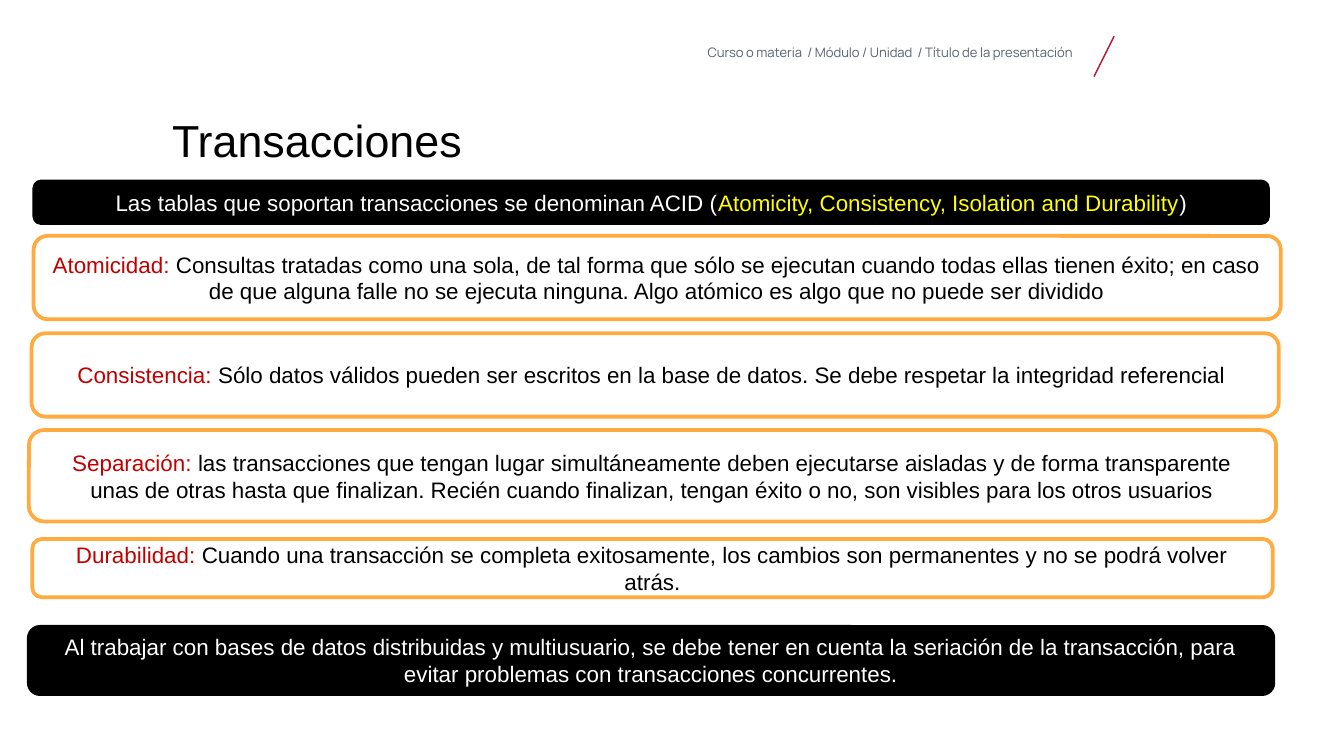
from lxml.etree import SubElement
from pptx import Presentation
from pptx.dml.color import RGBColor
from pptx.enum.shapes import MSO_CONNECTOR, MSO_SHAPE
from pptx.enum.text import MSO_ANCHOR, PP_ALIGN
from pptx.oxml.ns import qn
from pptx.util import Inches, Pt

COLUMNS, ROWS = 100, 56.25
CELL = Inches(0.1)
COLORS = {
    "black": "000000",
    "white": "FFFFFF",
    "yellow": "FFFF00",
    "term": "C00000",
    "border": "FFAB40",
    "slash": "BC182C",
    "header": "556271",
}


def color(name):
    return RGBColor.from_string(COLORS[name])


def grid(*cells):
    return [round(cell * CELL) for cell in cells]


def write(frame, runs, size=12, font="Arial", align=PP_ALIGN.CENTER,
          anchor=MSO_ANCHOR.MIDDLE, spacing=None, margin=None):
    frame.word_wrap = True
    frame.vertical_anchor = anchor
    if margin is not None:
        frame.margin_left = frame.margin_right = margin
        frame.margin_top = frame.margin_bottom = margin
    paragraph = frame.paragraphs[0]
    paragraph.alignment = align
    if spacing:
        paragraph.line_spacing = spacing
    for text, tone in runs:
        run = paragraph.add_run()
        run.text = text
        run.font.size = Pt(size)
        run.font.name = font
        run.font.color.rgb = color(tone)


def add_label(slide, place, text, tone, **style):
    label = slide.shapes.add_textbox(*grid(*place))
    write(label.text_frame, [(text, tone)], anchor=MSO_ANCHOR.TOP,
          spacing=0.9, margin=0, **style)


def add_panel(slide, place, runs, fill, border):
    panel = slide.shapes.add_shape(MSO_SHAPE.ROUNDED_RECTANGLE, *grid(*place))
    panel.shadow.inherit = False
    panel.fill.solid()
    panel.fill.fore_color.rgb = color(fill)
    panel.line.color.rgb = color(border)
    panel.line.width = Pt(2)
    write(panel.text_frame, runs)


def add_banner(slide, place, runs):
    add_panel(slide, place, runs, "black", "black")


def add_property(slide, place, term, meaning):
    runs = [(f"{term}: ", "term"), (meaning, "black")]
    add_panel(slide, place, runs, "white", "border")


def add_slash(slide, ends):
    slash = slide.shapes.add_connector(MSO_CONNECTOR.STRAIGHT, *grid(*ends))
    slash.line.color.rgb = color("slash")
    slash.line.width = Pt(0.75)
    SubElement(slash._element.spPr, qn("a:effectLst"))


def main():
    deck = Presentation()
    deck.slide_width, deck.slide_height = grid(COLUMNS, ROWS)
    slide = deck.slides.add_slide(deck.slide_layouts[6])

    add_label(slide, (49.5, 3.45, 30.5, 1.4),
              "Curso o materia  / Módulo / Unidad  / Título de la presentación ",
              "header", size=7, font="Manrope", align=PP_ALIGN.RIGHT)
    add_slash(slide, (82.9, 2.7, 81.4, 5.7))
    add_label(slide, (12.8, 8.85, 53.1, 8.3), "Transacciones", "black",
              size=24, align=PP_ALIGN.LEFT)

    add_banner(slide, (2.55, 13.5, 91.8, 3.1), [
        ("Las tablas que soportan transacciones se denominan ACID (", "white"),
        ("Atomicity, Consistency, Isolation and Durability", "yellow"),
        (")", "white"),
    ])

    properties = [
        ((2.5, 17.55, 92.8, 6.2), "Atomicidad",
         "Consultas tratadas como una sola, de tal forma que sólo se ejecutan "
         "cuando todas ellas tienen éxito; en caso de que alguna falle no se "
         "ejecuta ninguna. Algo atómico es algo que no puede ser dividido"),
        ((2.35, 24.8, 92.8, 6.2), "Consistencia",
         "Sólo datos válidos pueden ser escritos en la base de datos. "
         "Se debe respetar la integridad referencial "),
        ((2.15, 32, 92.8, 6.8), "Separación",
         "las transacciones que tengan lugar simultáneamente deben ejecutarse "
         "aisladas y de forma transparente unas de otras hasta que finalizan. "
         "Recién cuando finalizan, tengan éxito o no, son visibles para los "
         "otros usuarios"),
        ((2.4, 40.1, 92.3, 4.35), "Durabilidad",
         "Cuando una transacción se completa exitosamente, los cambios son "
         "permanentes y no se podrá volver atrás."),
    ]
    for place, term, meaning in properties:
        add_property(slide, place, term, meaning)

    add_banner(slide, (2.15, 46.65, 92.6, 5), [
        ("Al trabajar con bases de datos distribuidas y multiusuario, se debe "
         "tener en cuenta la seriación de la transacción, para evitar "
         "problemas con transacciones concurrentes.", "white"),
    ])

    deck.save("out.pptx")


if __name__ == "__main__":
    main()
